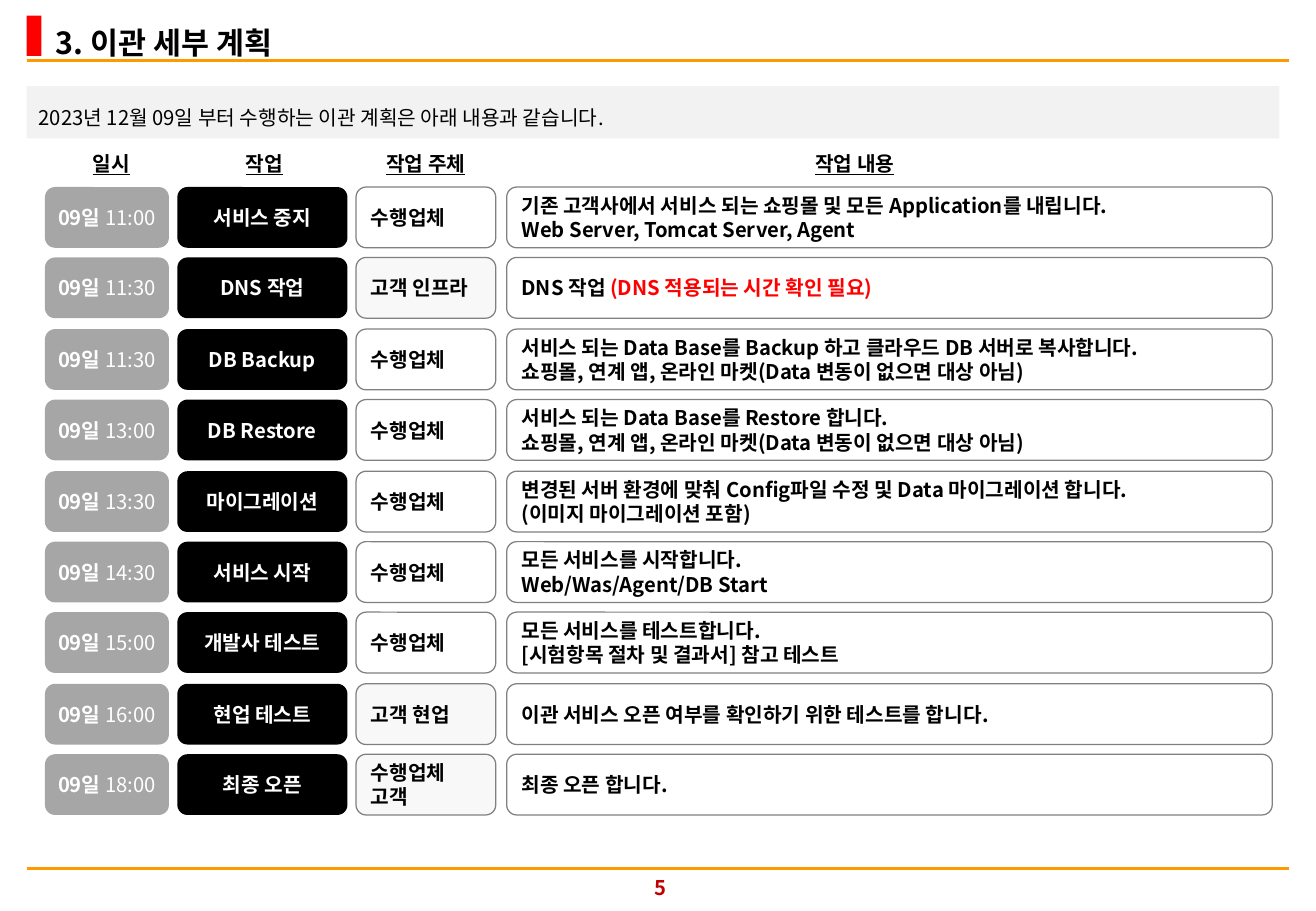
from dataclasses import dataclass

from lxml.etree import SubElement
from pptx import Presentation
from pptx.dml.color import RGBColor
from pptx.enum.shapes import MSO_CONNECTOR, MSO_SHAPE
from pptx.enum.text import MSO_ANCHOR as Anchor
from pptx.enum.text import MSO_AUTO_SIZE as AutoSize
from pptx.enum.text import PP_ALIGN as Align
from pptx.oxml.ns import qn
from pptx.shapes.autoshape import Shape
from pptx.slide import Slide
from pptx.text.text import TextFrame, _Run as Run
from pptx.util import Emu, Pt

PX = 9144
FONT = "Noto Sans CJK KR"
BLACK = RGBColor(0x00, 0x00, 0x00)
WHITE = RGBColor(0xFF, 0xFF, 0xFF)
RED = RGBColor(0xFF, 0x00, 0x00)
DARK_RED = RGBColor(0xC0, 0x00, 0x00)
ORANGE = RGBColor(0xFF, 0x99, 0x00)
PALE_GRAY = RGBColor(0xF2, 0xF2, 0xF2)
MID_GRAY = RGBColor(0xA6, 0xA6, 0xA6)
BORDER_GRAY = RGBColor(0x80, 0x80, 0x80)

ROW_TOP, ROW_HEIGHT = 154, 50
ROWS_SPAN = 467


@dataclass(frozen=True)
class Column:
    left: int
    width: int
    heading: str
    heading_left: int


@dataclass(frozen=True)
class Step:
    time: str
    task: str
    owner: str
    detail: str
    warning: str = ""
    owner_fill: RGBColor = WHITE


@dataclass(frozen=True)
class Style:
    color: RGBColor = BLACK
    size: int = 12
    bold: bool = True
    underline: bool = False
    align: Align = Align.LEFT


TIME = Column(37, 102, "일시", 34)
TASK = Column(146, 140, "작업", 160)
OWNER = Column(293, 115, "작업 주체", 293)
DETAIL = Column(417, 630, "작업 내용", 646)
COLUMNS = (TIME, TASK, OWNER, DETAIL)

LIGHT = Style(WHITE, align=Align.CENTER)
HEADING = Style(underline=True, align=Align.CENTER)

TARGETS = "쇼핑몰, 연계 앱, 온라인 마켓(Data 변동이 없으면 대상 아님)"
STEPS = (
    Step("11:00", "서비스 중지", "수행업체",
         "기존 고객사에서 서비스 되는 쇼핑몰 및 모든 Application를 내립니다.\n"
         "Web Server, Tomcat Server, Agent"),
    Step("11:30", "DNS 작업", "고객 인프라", "DNS 작업 ",
         "(DNS 적용되는 시간 확인 필요)", PALE_GRAY),
    Step("11:30", "DB Backup", "수행업체",
         "서비스 되는 Data Base를 Backup 하고 클라우드 DB 서버로 복사합니다.\n" + TARGETS),
    Step("13:00", "DB Restore", "수행업체",
         "서비스 되는 Data Base를 Restore 합니다.\n" + TARGETS),
    Step("13:30", "마이그레이션", "수행업체",
         "변경된 서버 환경에 맞춰 Config파일 수정 및 Data 마이그레이션 합니다.\n"
         "(이미지 마이그레이션 포함)"),
    Step("14:30", "서비스 시작", "수행업체",
         "모든 서비스를 시작합니다.\vWeb/Was/Agent/DB Start"),
    Step("15:00", "개발사 테스트", "수행업체",
         "모든 서비스를 테스트합니다.\n[시험항목 절차 및 결과서] 참고 테스트"),
    Step("16:00", "현업 테스트", "고객 현업",
         "이관 서비스 오픈 여부를 확인하기 위한 테스트를 합니다.",
         owner_fill=PALE_GRAY),
    Step("18:00", "최종 오픈", "수행업체\n고객", "최종 오픈 합니다.",
         owner_fill=PALE_GRAY),
)


def px(length: int) -> Emu:
    return Emu(length * PX)


def format_run(run: Run, style: Style) -> None:
    font = run.font
    font.size = Pt(style.size)
    font.bold = style.bold
    font.underline = style.underline
    font.color.rgb = style.color
    font.name = FONT
    SubElement(run._r.get_or_add_rPr(), qn("a:ea"), typeface=FONT)


def write(frame: TextFrame, text: str, style: Style) -> None:
    frame.text = text
    for paragraph in frame.paragraphs:
        paragraph.alignment = style.align
        for run in paragraph.runs:
            format_run(run, style)


def append(frame: TextFrame, text: str, style: Style) -> None:
    run = frame.paragraphs[-1].add_run()
    run.text = text
    format_run(run, style)


def add_block(slide: Slide, kind: MSO_SHAPE, left: int, top: int, width: int,
              height: int, fill: RGBColor) -> Shape:
    block = slide.shapes.add_shape(kind, px(left), px(top), px(width), px(height))
    block.shadow.inherit = False
    block.fill.solid()
    block.fill.fore_color.rgb = fill
    block.line.fill.background()
    return block


def add_cell(slide: Slide, column: Column, top: int, fill: RGBColor, text: str,
             style: Style, outlined: bool = False) -> TextFrame:
    cell = add_block(slide, MSO_SHAPE.ROUNDED_RECTANGLE, column.left, top,
                     column.width, ROW_HEIGHT, fill)
    if outlined:
        tint = cell._element.spPr.find(qn("a:solidFill"))[0]
        SubElement(tint, qn("a:alpha"), val="50000")
        cell.line.color.rgb = BORDER_GRAY
        cell.line.width = Pt(0.75)
    frame = cell.text_frame
    frame.word_wrap = False
    frame.vertical_anchor = Anchor.MIDDLE
    write(frame, text, style)
    return frame


def add_label(slide: Slide, left: int, top: int, width: int, height: int,
              text: str, style: Style) -> TextFrame:
    label = slide.shapes.add_textbox(px(left), px(top), px(width), px(height))
    frame = label.text_frame
    frame.word_wrap = True
    frame.auto_size = AutoSize.SHAPE_TO_FIT_TEXT
    write(frame, text, style)
    return frame


def add_rule(slide: Slide, top: int) -> None:
    rule = slide.shapes.add_connector(MSO_CONNECTOR.STRAIGHT, px(22), px(top),
                                      px(1061), px(top))
    rule.line.color.rgb = ORANGE
    rule.line.width = Pt(1.5)
    SubElement(rule._element.spPr, qn("a:effectLst"))


def add_title(slide: Slide) -> None:
    title = add_label(slide, 34, 8, 563, 48, "3. 이관 세부 계획", Style(size=18))
    title.margin_left = title.margin_right = px(12)
    title.margin_top = title.margin_bottom = px(6)
    title.paragraphs[0].line_spacing = 1.2


def add_intro(slide: Slide) -> None:
    band = add_block(slide, MSO_SHAPE.RECTANGLE, 22, 71, 1031, 43, PALE_GRAY)
    intro = band.text_frame
    intro.word_wrap = True
    intro.vertical_anchor = Anchor.TOP
    write(intro, "2023년 12월 09일 부터 수행하는 이관 계획은 아래 내용과 같습니다.",
          Style(bold=False))
    intro.paragraphs[0].line_spacing = Pt(22)


def add_step(slide: Slide, step: Step, top: int) -> None:
    when = add_cell(slide, TIME, top, MID_GRAY, "09일 ", LIGHT)
    append(when, step.time, Style(WHITE, bold=False))
    add_cell(slide, TASK, top, BLACK, step.task, LIGHT)
    detail = add_cell(slide, DETAIL, top, WHITE, step.detail, Style(), True)
    if step.warning:
        append(detail, step.warning, Style(RED))
    add_cell(slide, OWNER, top, step.owner_fill, step.owner, Style(), True)


def main() -> None:
    deck = Presentation()
    deck.slide_width, deck.slide_height = px(1083), px(750)
    slide = deck.slides.add_slide(deck.slide_layouts[6])
    add_rule(slide, 50)
    add_block(slide, MSO_SHAPE.RECTANGLE, 22, 13, 12, 33, RED)
    add_rule(slide, 715)
    add_label(slide, 502, 716, 83, 30, "5", Style(DARK_RED, align=Align.CENTER))
    add_title(slide)
    add_intro(slide)
    for index, step in enumerate(STEPS):
        add_step(slide, step, ROW_TOP + round(index * ROWS_SPAN / (len(STEPS) - 1)))
    for column in COLUMNS:
        add_label(slide, column.heading_left, 120, 115, 30, column.heading, HEADING)
    deck.save("out.pptx")


if __name__ == "__main__":
    main()
